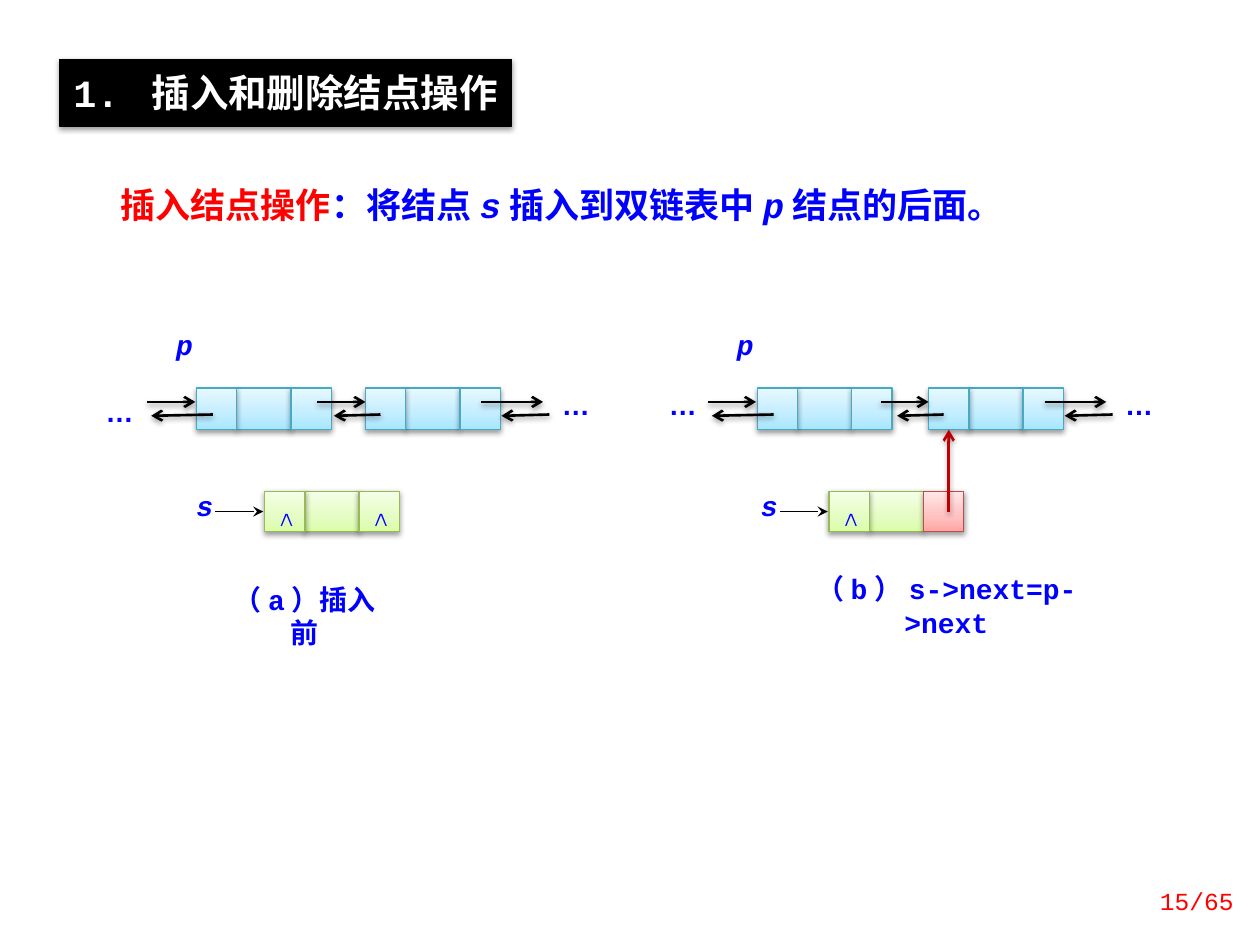
from copy import deepcopy

from pptx import Presentation
from pptx.dml.color import RGBColor
from pptx.enum.shapes import MSO_CONNECTOR, MSO_SHAPE
from pptx.enum.text import MSO_ANCHOR, MSO_AUTO_SIZE, PP_ALIGN
from pptx.oxml import parse_xml
from pptx.oxml.ns import qn
from pptx.util import Inches, Pt

THEME = {
    "black": "000000", "white": "FFFFFF", "blue": "0000FF", "red": "FF0000",
    "dark_red": "C00000", "mono": "Courier New", "sans": "Arial",
    "title": 22, "body": 20, "label": 16, "page": 14,
    # border, then gradient stops from bottom to top
    "list": ("46AAC5", "A7E6FF", "C1EDFF", "E7F8FF"),
    "new": ("98B955", "DAFDA7", "E4FCC2", "F5FFE7"),
    "changed": ("BF4C48", "FFA6A5", "FFC0BF", "FFE7E7"),
}
NS = 'xmlns:a="http://schemas.openxmlformats.org/drawingml/2006/main"'
NO_EFFECT = f"<a:effectLst {NS}/>"
SHADOW = (f'<a:effectLst {NS}><a:outerShdw blurRad="40000" dist="20000" '
          'dir="5400000" rotWithShape="0"><a:srgbClr val="000000">'
          '<a:alpha val="38000"/></a:srgbClr></a:outerShdw></a:effectLst>')
LABEL = {"size": Pt(THEME["label"]), "name": THEME["mono"], "bold": True}
POINTER = {**LABEL, "italic": True}
DOTS = {**LABEL, "name": THEME["sans"]}

presentation = Presentation()
presentation.slide_width, presentation.slide_height = Inches(10), Inches(7.5)
slide = presentation.slides.add_slide(presentation.slide_layouts[5])


def add_box(left, top, width, height, text="", font=LABEL, colors=None, inset=0):
    """Add a gradient cell when colors are given, otherwise a white label."""
    box = slide.shapes.add_shape(
        MSO_SHAPE.RECTANGLE, *map(Inches, (left, top, width, height)))
    if colors:
        border, *stop_colors = colors
        box.fill.gradient()
        box.fill.gradient_angle = 90
        first = box._element.spPr.find(".//" + qn("a:gs"))
        first.addnext(deepcopy(first))
        for stop, place, color in zip(box.fill.gradient_stops, (0, 0.35, 1), stop_colors):
            stop.position = place
            stop.color.rgb = RGBColor.from_string(color)
        box.line.color.rgb = RGBColor.from_string(border)
        box.line.width = Pt(0.75)
    else:
        box.fill.solid()
        box.fill.fore_color.rgb = RGBColor.from_string(THEME["white"])
        box.line.fill.background()
    box._element.spPr.append(parse_xml(SHADOW if colors else NO_EFFECT))
    if text:
        frame = box.text_frame
        layout = {"word_wrap": True, "vertical_anchor": MSO_ANCHOR.TOP,
                  "margin_left": Inches(inset), "margin_right": Inches(0 if colors else inset),
                  "margin_top": 0, "margin_bottom": 0}
        for key, value in layout.items():
            setattr(frame, key, value)
        paragraph = frame.paragraphs[0]
        paragraph.alignment = PP_ALIGN.CENTER
        if colors:
            paragraph.line_spacing = Pt(23)
        run = paragraph.add_run()
        run.text = text
        for key, value in font.items():
            setattr(run.font, key, value)
        run.font.color.rgb = RGBColor.from_string(THEME["blue"])


def add_arrow(points, color=THEME["black"], width=1.5, head="arrow", effect=SHADOW):
    """Join two points with a connector, or more points with an open outline."""
    if len(points) == 2:
        arrow = slide.shapes.add_connector(
            MSO_CONNECTOR.STRAIGHT, *(Inches(n) for point in points for n in point))
    else:
        builder = slide.shapes.build_freeform(*points[0], scale=Inches(1))
        builder.add_line_segments(points[1:], close=False)
        arrow = builder.convert_to_shape()
        arrow.fill.background()
    arrow.line.color.rgb = RGBColor.from_string(color)
    arrow.line.width = Pt(width)
    arrow.line._get_or_add_ln().append(parse_xml(f'<a:tailEnd {NS} type="{head}"/>'))
    arrow._element.spPr.append(parse_xml(effect))


# Heading
heading = slide.shapes.title
placing = {"left": 0.47, "top": 0.47, "width": 3.59, "height": 0.53}
for key, value in placing.items():
    setattr(heading, key, Inches(value))
heading.fill.solid()
heading.fill.fore_color.rgb = RGBColor.from_string(THEME["black"])
heading.line.color.rgb = RGBColor.from_string(THEME["black"])
heading.line.width = Pt(0.75)
heading._element.spPr.append(parse_xml(SHADOW))

# Statement and page number
statement = slide.shapes.add_textbox(*map(Inches, (0.86, 1.41, 6.95, 0.44)))
page = slide.shapes.add_textbox(*map(Inches, (8.98, 6.95, 0.91, 0.4)))
texts = [
    (heading, PP_ALIGN.CENTER, MSO_ANCHOR.MIDDLE, "title", True,
     [("1. 插入和删除结点操作", "white", False)]),
    (statement, PP_ALIGN.LEFT, MSO_ANCHOR.TOP, "body", True,
     [("插入结点操作", "red", False), ("：将结点", "blue", False), ("s", "blue", True),
      ("插入到双链表中", "blue", False), ("p", "blue", True),
      ("结点的后面。", "blue", False)]),
    (page, PP_ALIGN.RIGHT, MSO_ANCHOR.MIDDLE, "page", False, [("15/65", "red", False)]),
]
for holder, alignment, anchor, size, bold, runs in texts:
    frame = holder.text_frame
    frame.word_wrap = True
    frame.vertical_anchor = anchor
    frame.auto_size = MSO_AUTO_SIZE.NONE
    paragraph = frame.paragraphs[0]
    paragraph.alignment = alignment
    for text, color, italic in runs:
        run = paragraph.add_run()
        run.text = text
        style = {"size": Pt(THEME[size]), "name": THEME["mono"], "bold": bold, "italic": italic}
        for key, value in style.items():
            setattr(run.font, key, value)
        run.font.color.rgb = RGBColor.from_string(THEME[color])

# Linked list before the insertion, and after its first step
CELL, DATA = 0.32, 0.43
LIST_TOP, NEW_TOP = 3.08, 3.9
panels = [
    {"p": 1.56, "next": 2.9, "s": 2.1, "dots": (0.7, 3.13), "last": ("∧", "new"),
     "caption": (1.79, 4.62, 1.25, 0.33, "（a）插入前")},
    {"p": 6.01, "next": 7.37, "s": 6.58, "dots": (5.17, 3.08), "last": ("", "changed"),
     "caption": (6.19, 4.54, 2.64, 0.33, "（b）s->next=p->next")},
]
for panel in panels:
    p, after, s = panel["p"], panel["next"], panel["s"]
    last_text, last_colors = panel["last"]
    nodes = [(p, LIST_TOP, 0.33, "", "", "list"), (after, LIST_TOP, 0.33, "", "", "list"),
             (s, NEW_TOP, 0.32, "∧", last_text, last_colors)]
    for left, top, height, prior, following, end_colors in nodes:
        colors = THEME["list" if top == LIST_TOP else "new"]
        add_box(left + CELL, top, DATA, height, colors=colors)
        add_box(left + CELL + DATA, top, CELL, height, following,
                colors=THEME[end_colors], inset=0.03)
        add_box(left, top, CELL, height, prior, colors=colors, inset=0.03)

    add_box(*panel["dots"], 0.5, 0.33, "…", DOTS, inset=0.1)
    add_box(after + 1.42, LIST_TOP, 0.5, 0.33, "…", DOTS, inset=0.1)
    add_box(p - 0.2, 2.6, 0.21, 0.27, "p", POINTER)
    add_box(s - 0.58, 3.88, 0.21, 0.27, "s", POINTER)
    add_box(*panel["caption"])

    for start, end in [(p - 0.39, p - 0.01), (after - 0.38, after), (after + 0.92, after + 1.41)]:
        add_arrow([(start, 3.19), (end, 3.19)])
    for start, end in [(p + 0.13, p - 0.36), (after + 0.12, after - 0.25),
                       (after + 1.46, after + 1.08)]:
        add_arrow([(start, 3.29), (end, 3.3)])

    # Cubic curve from the label p down to its node
    steps = [step / 16 for step in range(17)]
    add_arrow([(p + 0.33 * t * (1 - t) ** 2 + 0.57 * t ** 2 * (1 - t) + 0.19 * t ** 3,
                2.76 + 0.45 * t ** 2 * (1 - t) + 0.32 * t ** 3) for t in steps],
              effect=NO_EFFECT)
    add_arrow([(s - 0.39, 4.06), (s - 0.01, 4.06)], width=0.75, head="stealth",
              effect=NO_EFFECT)

# New link from s to the node after p
add_arrow([(7.53, 4.06), (7.53, 3.41)], color=THEME["dark_red"])

presentation.save("out.pptx")
